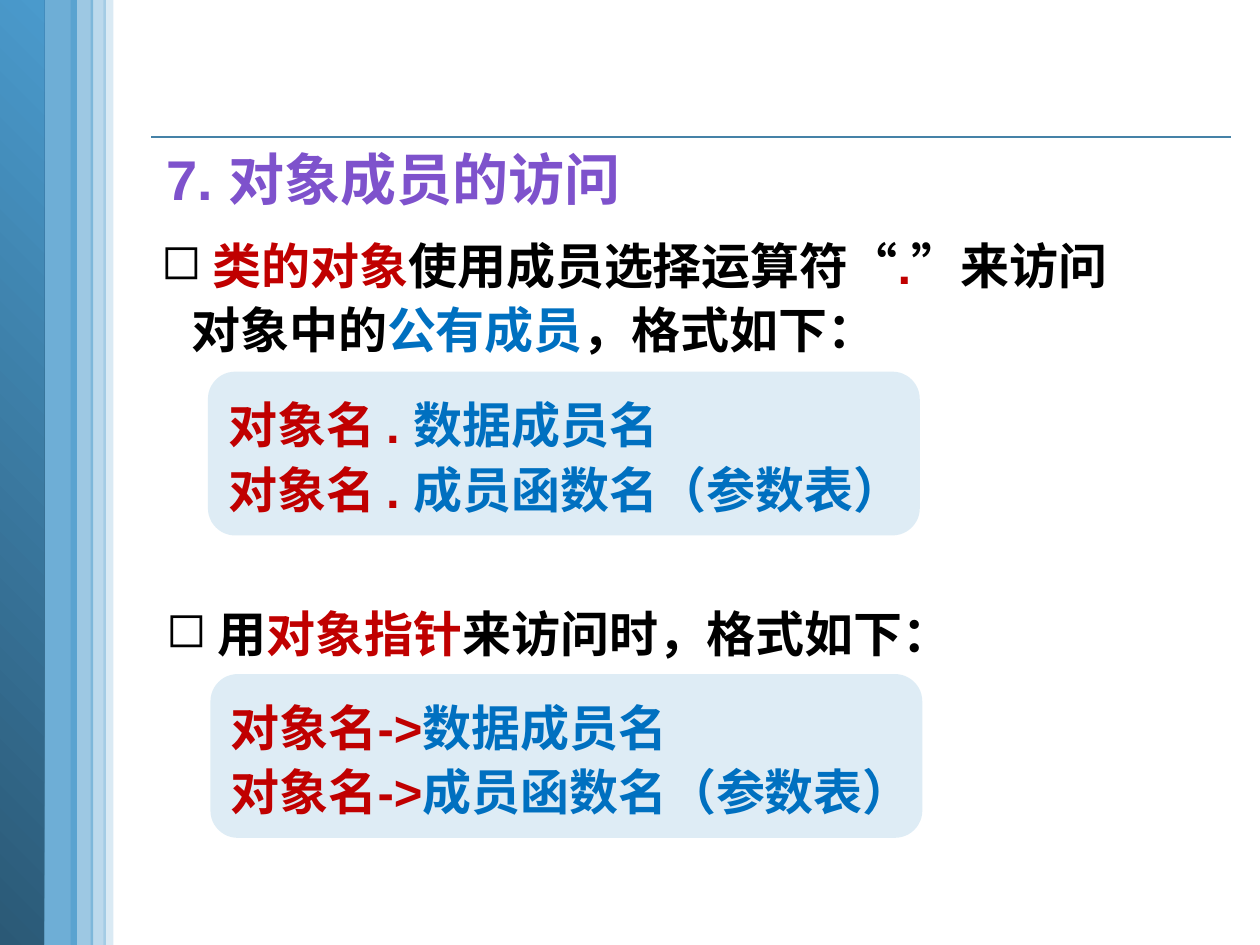
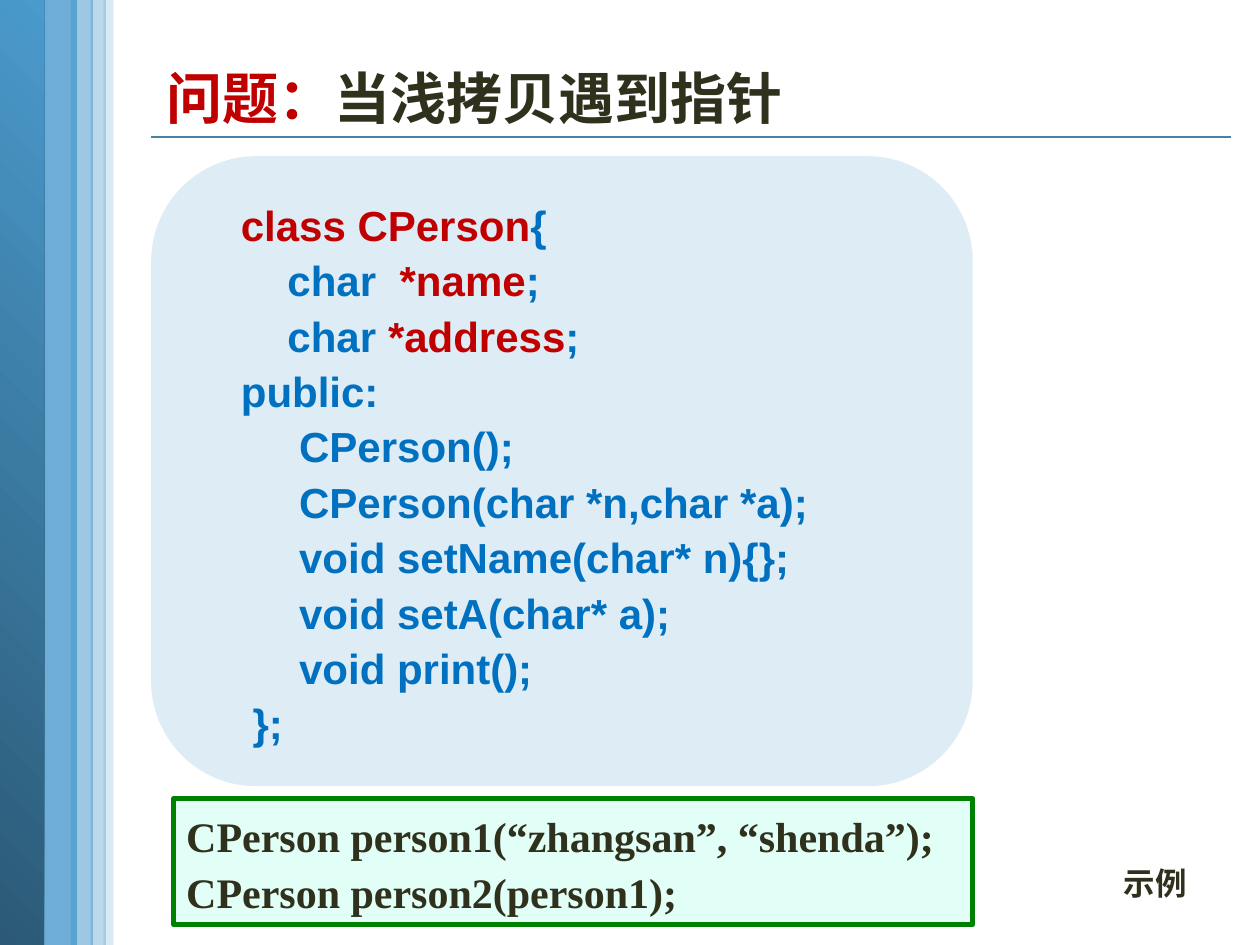
from lxml import etree
from pptx import Presentation
from pptx import util as u
from pptx.dml.color import RGBColor
from pptx.enum import shapes, text
from pptx.oxml.ns import qn

RED, BLUE, BLACK, DARK = "C00000", "0070C0", "000000", "30311D"
PURPLE, BAND, PANEL = "7E52CC", "4A9ACC", "92C2E0"


def rgb(value):
    return RGBColor.from_string(value)


def inches(values):
    return [u.Inches(v) for v in values]


class Deck:
    font = {"name": "Arial", "bold": True}
    # left, top, width, height, opacity in percent (None: gradient)
    bands = [
        (0.3, 0, 0.31, 7.53, 80),
        (-0.01, 0, 0.36, 7.5, None),
        (0.82, -0.02, 0.08, 7.52, 20),
        (0.56, 0, 0.18, 7.51, 54),
        (0.72, 0, 0.12, 7.52, 37),
    ]

    def __init__(self):
        self.prs = Presentation()
        self.prs.slide_width, self.prs.slide_height = inches((10, 7.5))

    def new_slide(self):
        self.s = self.prs.slides.add_slide(self.prs.slide_layouts[5])
        self.rule()
        for *box, opacity in self.bands:
            self.shape(box, BAND, opacity)

    def rule(self):
        line = self.s.shapes.add_connector(
            shapes.MSO_CONNECTOR.STRAIGHT, *inches((1.2, 1.09, 9.77, 1.09)))
        line.line.color.rgb = rgb("4582A7")
        line.line.width = u.Pt(1)
        etree.SubElement(line._element.spPr, qn("a:effectLst"))

    def shape(self, box, color, opacity=100, kind="RECTANGLE"):
        sp = self.s.shapes.add_shape(shapes.MSO_SHAPE[kind], *inches(box))
        sp.shadow.inherit = False
        sp.line.fill.background()
        if opacity is None:
            sp.fill.gradient()
            sp.fill.gradient_angle = 45
            for stop, c in zip(sp.fill.gradient_stops, ("2B5976", color)):
                stop.color.rgb = rgb(c)
            return sp
        sp.fill.solid()
        sp.fill.fore_color.rgb = rgb(color)
        if opacity < 100:
            clr = sp._element.spPr.find(".//" + qn("a:srgbClr"))
            etree.SubElement(clr, qn("a:alpha"), val=str(opacity * 1000))
        return sp

    def add_lines(self, sp, lines, size, spacing=1.0, wrap=True, anchor="TOP", **font):
        """Each line is a list of (words, colour) runs."""
        tf = sp.text_frame
        frame = {"word_wrap": wrap, "auto_size": text.MSO_AUTO_SIZE.NONE,
                 "vertical_anchor": text.MSO_ANCHOR[anchor]}
        for name, value in frame.items():
            setattr(tf, name, value)
        for i, runs in enumerate(lines):
            p = tf.add_paragraph() if i else tf.paragraphs[0]
            p.alignment, p.line_spacing = text.PP_ALIGN.LEFT, spacing
            for words, color in runs:
                r = p.add_run()
                r.text = words
                for name, value in {**self.font, "size": u.Pt(size), **font}.items():
                    setattr(r.font, name, value)
                r.font.color.rgb = rgb(color)

    def title(self, box, runs):
        sp = self.s.shapes.title
        sp.left, sp.top, sp.width, sp.height = inches(box)
        self.add_lines(sp, [runs], 32)

    def textbox(self, box, runs, size, **style):
        sp = self.s.shapes.add_textbox(*inches(box))
        self.add_lines(sp, [runs], size, **style)
        return sp

    def bullet(self, box, runs):
        sp = self.textbox(box, runs, 28, spacing=1.1)
        pPr = sp.text_frame.paragraphs[0]._p.get_or_add_pPr()
        pPr.set("marL", str(u.Inches(0.24)))
        pPr.set("indent", str(-u.Inches(0.24)))
        etree.SubElement(pPr, qn("a:buChar"), char="◻")

    def panel(self, box, lines, size):
        sp = self.shape(box, PANEL, 30, "ROUNDED_RECTANGLE")
        self.add_lines(sp, lines, size, 1.1, wrap=False, anchor="MIDDLE")


def member_access(deck):
    deck.new_slide()
    deck.title((1.22, 1.1, 6.6, 0.62), [("7. 对象成员的访问", PURPLE)])
    deck.bullet((1.18, 1.77, 8.09, 1.14), [
        (" ", BLACK), ("类的对象", RED), ("使用成员选择运算符“", BLACK),
        (".", RED), ("”来访问对象中的", BLACK), ("公有成员", BLUE),
        ("，格式如下：", BLACK)])
    deck.bullet((1.22, 4.69, 8.09, 0.62), [
        (" 用", BLACK), ("对象指针", RED), ("来访问时，格式如下：", BLACK)])
    # Syntax panels, one per operator
    for left, top, operator in ((1.65, 2.95, " . "), (1.67, 5.35, "->")):
        deck.panel((left, top, 5.65, 1.3), [
            [("对象名" + operator, RED), (member, BLUE)]
            for member in ("数据成员名", "成员函数名（参数表）")], 28)


def shallow_copy(deck):
    deck.new_slide()
    deck.title((1.22, 0.45, 6.74, 0.64),
               [("问题：", RED), ("当浅拷贝遇到指针", DARK)])
    # Class declaration
    methods = ("CPerson();", "CPerson(char *n,char *a);",
               "void setName(char* n){};", "void setA(char* a);", "void print();")
    deck.panel((1.2, 1.24, 6.52, 5), [
        [("    class CPerson", RED), ("{", BLUE)],
        *([("        char", BLUE), (field, RED), (";", BLUE)]
          for field in ("  *name", " *address")),
        [("    public:", BLUE)],
        *([("         " + method, BLUE)] for method in methods),
        [("     };", BLUE)],
    ], 24)
    # Usage
    sp = deck.shape((1.38, 6.34, 6.34, 1), "E1FFF7")
    sp.line.color.rgb = rgb("008000")
    sp.line.width = u.Pt(3)
    usage = ("CPerson person1(“zhangsan”, “shenda”);", "CPerson person2(person1);")
    deck.add_lines(sp, [[(code, DARK)] for code in usage],
                   24, u.Pt(31.9), name="Times New Roman")
    deck.textbox((8.82, 6.81, 0.71, 0.4), [("示例", DARK)], 18, wrap=False)


def main():
    deck = Deck()
    member_access(deck)
    shallow_copy(deck)
    deck.prs.save("out.pptx")


if __name__ == "__main__":
    main()
